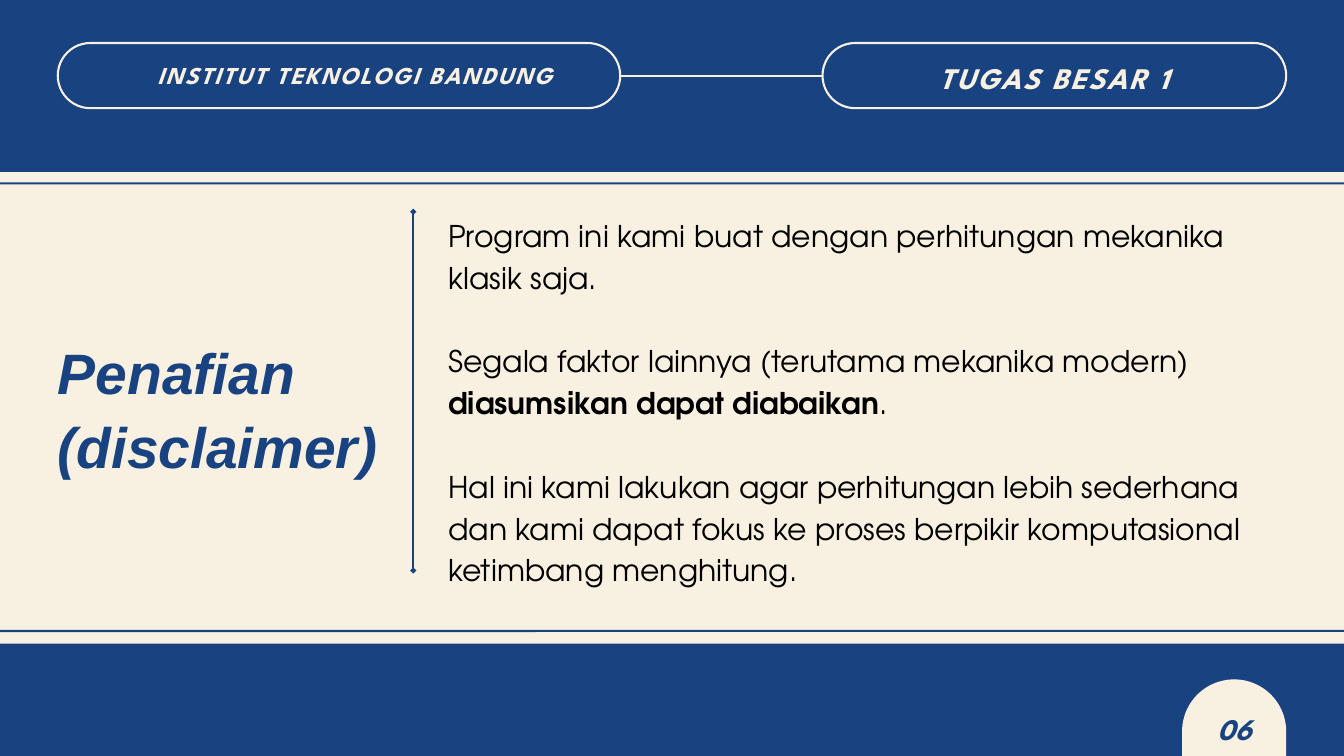
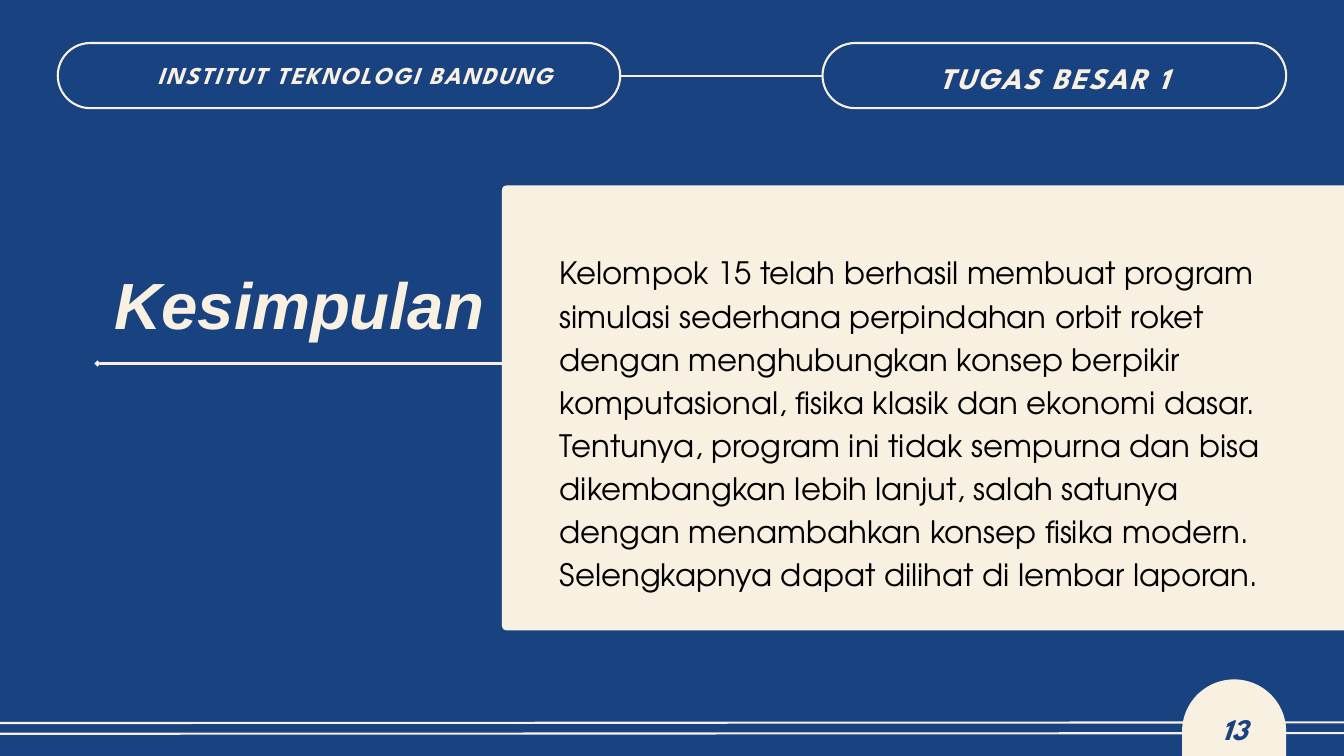
"""Build the disclaimer and conclusion slides of a project presentation."""
import math
from dataclasses import dataclass, replace

from pptx import Presentation
from pptx import util as u
from pptx.dml.color import RGBColor
from pptx.enum import shapes, text
from pptx.oxml import ns, xmlchemy

COLORS = {"blue": "194281", "cream": "F8F0E1", "black": "000000"}
DISPLAY_FONT, TITLE_FONT, BODY_FONT = "League Spartan", "Arial", "TeX Gyre Adventor"
LINE_WIDTH = u.Pt(2.25)


@dataclass(frozen=True)
class Box:
    """Position and size in inches."""
    left: float
    top: float
    width: float
    height: float

    def emu(self) -> tuple:
        """Return the four lengths for python-pptx."""
        return tuple(u.Inches(v) for v in (self.left, self.top, self.width, self.height))


@dataclass(frozen=True)
class Style:
    """Look of a text block; sizes and spacings are points."""
    font: str
    size: float
    leading: float
    color: str
    emphasis: bool = True
    centered: bool = False
    tracking: float = 0
    gap: float = 0


@dataclass(frozen=True)
class HeaderPill:
    """Outlined header capsule with its label."""
    outline: Box
    label: str
    label_box: Box
    style: Style


@dataclass(frozen=True)
class Rule:
    """Straight line, with optional diamond ends."""
    start: tuple
    end: tuple
    color: str
    head: bool = False
    tail: bool = False


PAGE_NUMBER = Style(DISPLAY_FONT, 32, 44.8, "blue", centered=True)
PILLS = (
    HeaderPill(Box(0.86, 0.64, 8.37, 0.97), "INSTITUT TEKNOLOGI BANDUNG",
               Box(2.34, 0.81, 6.68, 0.51),
               Style(DISPLAY_FONT, 26, 37.8, "cream", tracking=1.9)),
    HeaderPill(Box(12.24, 0.64, 6.9, 0.97), "TUGAS BESAR 1",
               Box(12.74, 0.8, 5.89, 0.59),
               replace(PAGE_NUMBER, color="cream", tracking=2.2)),
)
FOOTER_RULES = (
    Rule((-0.54, 10.76), (20.54, 10.75), "cream"),
    Rule((-0.43, 10.92), (20.65, 10.91), "cream"),
)
DISCLAIMER = (
    ("Program ini kami buat dengan perhitungan mekanika klasik saja.",),
    ("Segala faktor lainnya (terutama mekanika modern) ",
     "diasumsikan dapat diabaikan", "."),
    ("Hal ini kami lakukan agar perhitungan lebih sederhana dan kami dapat fokus "
     "ke proses berpikir komputasional ketimbang menghitung.",),
)
CONCLUSION = (
    ("Kelompok 15 telah berhasil membuat program simulasi sederhana perpindahan "
     "orbit roket dengan menghubungkan konsep berpikir komputasional, fisika "
     "klasik dan ekonomi dasar.",),
    ("Tentunya, program ini tidak sempurna dan bisa dikembangkan lebih lanjut, "
     "salah satunya dengan menambahkan konsep fisika modern.",),
    ("Selengkapnya dapat dilihat di lembar laporan.",),
)


def rgb(name: str) -> RGBColor:
    """Look up a palette colour."""
    return RGBColor.from_string(COLORS[name])


def paint(shape, fill: str = "", line: str = "") -> None:
    """Set fill and outline, each absent when unnamed."""
    shape.shadow.inherit = False
    if fill:
        shape.fill.solid()
        shape.fill.fore_color.rgb = rgb(fill)
    else:
        shape.fill.background()
    if line:
        shape.line.color.rgb = rgb(line)
        shape.line.width = LINE_WIDTH
    else:
        shape.line.fill.background()


def add_block(slide, box: Box, fill: str = "", line: str = "", rounding: float = 0):
    """Draw a rectangle, rounded when asked."""
    kind = shapes.MSO_SHAPE.ROUNDED_RECTANGLE if rounding else shapes.MSO_SHAPE.RECTANGLE
    block = slide.shapes.add_shape(kind, *box.emu())
    if rounding:
        block.adjustments[0] = rounding
    paint(block, fill, line)
    return block


def add_rule(slide, rule: Rule):
    """Draw a straight line without shadow."""
    points = [u.Inches(v) for v in rule.start + rule.end]
    connector = slide.shapes.add_connector(shapes.MSO_CONNECTOR.STRAIGHT, *points)
    connector.line.color.rgb = rgb(rule.color)
    connector.line.width = LINE_WIDTH
    properties = connector.element.spPr
    outline = properties.find(ns.qn("a:ln"))
    for tag, shown in (("a:headEnd", rule.head), ("a:tailEnd", rule.tail)):
        if shown:
            end = xmlchemy.OxmlElement(tag)
            end.set("type", "diamond")
            outline.append(end)
    properties.append(xmlchemy.OxmlElement("a:effectLst"))
    return connector


def write(shape, box: Box, paragraphs: tuple, style: Style) -> None:
    """Place a text shape and fill it; every second run of a paragraph is bold."""
    shape.left, shape.top, shape.width, shape.height = box.emu()
    frame = shape.text_frame
    frame.text = "\n".join(parts[0] for parts in paragraphs)
    frame.word_wrap = True
    frame.auto_size = text.MSO_AUTO_SIZE.NONE
    frame.vertical_anchor = text.MSO_ANCHOR.TOP
    frame.margin_left = frame.margin_top = frame.margin_right = frame.margin_bottom = 0
    for paragraph, parts in zip(frame.paragraphs, paragraphs):
        for part in parts[1:]:
            paragraph.add_run().text = part
        paragraph.alignment = text.PP_ALIGN.CENTER if style.centered else text.PP_ALIGN.LEFT
        paragraph.line_spacing = u.Pt(style.leading)
        paragraph.space_before = u.Pt(0)
        paragraph.space_after = u.Pt(style.gap)
        properties = paragraph.element.get_or_add_pPr() if hasattr(
            paragraph, "element") else paragraph._p.get_or_add_pPr()
        properties.set("marL", "0")
        properties.set("indent", "0")
        properties.append(xmlchemy.OxmlElement("a:buNone"))
        for index, run in enumerate(paragraph.runs):
            run.font.name = style.font
            run.font.size = u.Pt(style.size)
            run.font.color.rgb = rgb(style.color)
            run.font.bold = style.emphasis or index % 2 == 1
            run.font.italic = style.emphasis
            if style.tracking:
                run.font._element.set("spc", str(round(style.tracking * 100)))


def add_label(slide, box: Box, label: str, style: Style) -> None:
    """Add a one-line text box."""
    write(slide.shapes.add_textbox(*box.emu()), box, ((label,),), style)


def fill_placeholder(slide, index: int, box: Box, paragraphs: tuple, style: Style) -> None:
    """Fill a template placeholder and bring it to the front."""
    placeholder = slide.placeholders[index]
    write(placeholder, box, paragraphs, style)
    slide.shapes.element.append(placeholder.element)


def add_header(slide) -> None:
    """Draw the two joined header pills."""
    left, right = [add_block(slide, pill.outline, line="cream", rounding=0.5) for pill in PILLS]
    link = add_rule(slide, Rule((9.23, 1.12), (12.24, 1.12), "cream"))
    link.begin_connect(left, 3)
    link.end_connect(right, 1)
    for pill in PILLS:
        add_label(slide, pill.label_box, pill.label, pill.style)


def add_page_tab(slide, number: str) -> None:
    """Draw the arched page-number tab."""
    left, top, width, bottom = 17.59, 10.11, 1.55, 11.43
    radius, steps = width / 2, 48
    arc = [(left + radius - radius * math.cos(math.pi * step / steps),
            top + radius - radius * math.sin(math.pi * step / steps))
           for step in range(steps + 1)]
    builder = slide.shapes.build_freeform(u.Inches(left), u.Inches(bottom))
    outline = arc + [(left + width, bottom)]
    builder.add_line_segments([(u.Inches(x), u.Inches(y)) for x, y in outline], close=True)
    paint(builder.convert_to_shape(), "cream")
    add_label(slide, Box(17.82, 10.48, 1.1, 0.59), number, PAGE_NUMBER)


def add_disclaimer(slide) -> None:
    """Build the disclaimer slide."""
    add_block(slide, Box(0, 2.56, 20, 7.02), fill="cream")
    add_block(slide, Box(-0.99, 2.73, 21.98, 6.66), line="blue", rounding=0.01)
    add_rule(slide, Rule((6.15, 3.15), (6.15, 8.49), "blue", head=True, tail=True))
    add_page_tab(slide, "06")
    fill_placeholder(slide, 0, Box(0.86, 4.94, 4.92, 2.19),
                     (("Penafian",), ("(disclaimer)",)), Style(TITLE_FONT, 61, 79.3, "blue"))
    fill_placeholder(slide, 1, Box(6.67, 3.15, 12.25, 5.5), DISCLAIMER,
                     Style(BODY_FONT, 32, 44.8, "black", emphasis=False, gap=44.8))
    add_header(slide)


def add_conclusion(slide) -> None:
    """Build the conclusion slide."""
    for rule in FOOTER_RULES:
        add_rule(slide, rule)
    add_page_tab(slide, "13")
    add_rule(slide, Rule((1.45, 5.41), (8.55, 5.41), "cream", head=True))
    add_block(slide, Box(7.47, 2.76, 13.5, 6.62), fill="cream", rounding=0.01)
    fill_placeholder(slide, 0, Box(1.7, 3.74, 5.77, 1.32), (("Kesimpulan",),),
                     Style(TITLE_FONT, 70, 98, "cream"))
    fill_placeholder(slide, 1, Box(8.33, 3.69, 10.81, 5.06), CONCLUSION,
                     Style(BODY_FONT, 33, 46.2, "black", emphasis=False))
    add_header(slide)


def main() -> None:
    """Create and save the presentation."""
    presentation = Presentation()
    presentation.slide_width, presentation.slide_height = u.Inches(20), u.Inches(11.25)
    for build in (add_disclaimer, add_conclusion):
        slide = presentation.slides.add_slide(presentation.slide_layouts[1])
        slide.background.fill.solid()
        slide.background.fill.fore_color.rgb = rgb("blue")
        build(slide)
    presentation.save("out.pptx")


if __name__ == "__main__":
    main()
